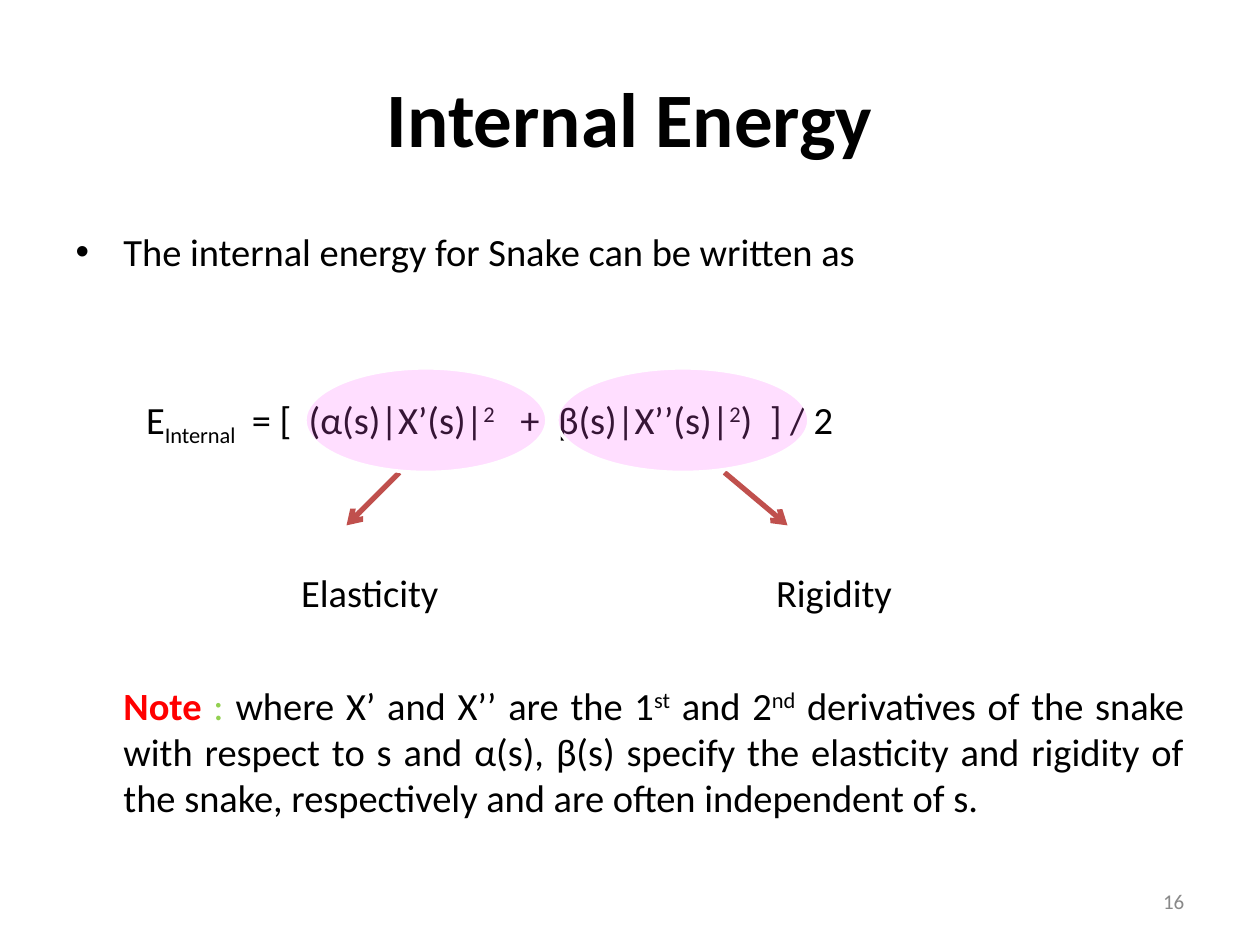
from lxml.etree import SubElement
from pptx import Presentation
from pptx.dml.color import RGBColor
from pptx.enum.shapes import MSO_CONNECTOR, MSO_SHAPE
from pptx.enum.text import MSO_ANCHOR, PP_ALIGN
from pptx.oxml.ns import qn
from pptx.util import Inches, Pt

BLACK, RED, GREEN, GRAY = "000000", "FF0000", "92D050", "898989"
PINK, WHITE, BRICK = "FF66FF", "FFFFFF", "C0504D"
SUB, SUP = -25, 30


def color(code):
    return RGBColor.from_string(code)


def style(para, size, code=BLACK, bold=False, align=PP_ALIGN.LEFT):
    para.alignment = align
    font = para.font
    font.name, font.size, font.bold = "Calibri", Pt(size), bold
    font.color.rgb = color(code)


def text_box(slide, left, top, width, height):
    frame = slide.shapes.add_textbox(
        Inches(left), Inches(top), Inches(width), Inches(height)).text_frame
    frame.word_wrap = True
    frame.margin_left = frame.margin_right = 0
    frame.margin_top = frame.margin_bottom = 0
    return frame


def add_run(para, text, base=0, code=None, bold=None):
    run = para.add_run()
    run.text = text
    if code:
        run.font.color.rgb = color(code)
    if bold is not None:
        run.font.bold = bold
    if base:
        run.font._element.set("baseline", str(base * 1000))


def set_title(slide, left, top, width, height):
    title = slide.shapes.title
    title.left, title.top = Inches(left), Inches(top)
    title.width, title.height = Inches(width), Inches(height)
    title.text_frame.text = "Internal Energy"
    title.text_frame.vertical_anchor = MSO_ANCHOR.MIDDLE
    style(title.text_frame.paragraphs[0], 44, bold=True, align=PP_ALIGN.CENTER)


def add_label(slide, text, left, top, width, height, size=22, code=BLACK,
              align=PP_ALIGN.LEFT):
    frame = text_box(slide, left, top, width, height)
    frame.text = text
    style(frame.paragraphs[0], size, code, align=align)
    return frame


def add_intro(slide, left, top, width, height):
    frame = text_box(slide, left, top, width, height)
    para = frame.paragraphs[0]
    props = para._p.get_or_add_pPr()
    props.set("marL", str(Inches(0.38)))
    props.set("indent", str(-Inches(0.38)))
    SubElement(props, qn("a:buFont")).set("typeface", "Arial")
    SubElement(props, qn("a:buChar")).set("char", "•")
    add_run(para, "The internal energy for Snake can be written as")
    style(para, 22)


def add_formula(slide, left, top, width, height):
    para = text_box(slide, left, top, width, height).paragraphs[0]
    tabs = SubElement(para._p.get_or_add_pPr(), qn("a:tabLst"))
    for stop in (0.84, 1.29, 2.97, 3.27, 4.95):
        SubElement(tabs, qn("a:tab"), pos=str(Inches(stop)), algn="l")
    for text, base in (("E", 0), ("Internal", SUB), ("\t= [\t(α(s)|X’(s)|", 0),
                       ("2", SUP), ("\t+\tβ(s)|X’’(s)|", 0), ("2", SUP),
                       (")\t] / 2", 0)):
        add_run(para, text, base)
    style(para, 22)


def add_term(slide, left, top, width, height, start, end, drop=0.42):
    """Ellipse over one term, with an arrow from its lower edge."""
    low = top + height
    arrow = slide.shapes.add_connector(
        MSO_CONNECTOR.STRAIGHT, Inches(left + start), Inches(low),
        Inches(left + end), Inches(low + drop))
    arrow.line.color.rgb = color(BRICK)
    arrow.line.width = Pt(3)
    SubElement(arrow.line._get_or_add_ln(), qn("a:tailEnd"), type="arrow")
    SubElement(arrow._element.spPr, qn("a:effectLst"))

    oval = slide.shapes.add_shape(
        MSO_SHAPE.OVAL, Inches(left), Inches(top), Inches(width), Inches(height))
    oval.shadow.inherit = False
    oval.fill.solid()
    oval.fill.fore_color.rgb = color(PINK)
    tint = oval._element.spPr.find(qn("a:solidFill"))[0]
    SubElement(tint, qn("a:alpha"), val="21000")
    oval.line.color.rgb = color(WHITE)
    oval.line.width = Pt(2)


def add_note(slide, left, top, width, height):
    para = text_box(slide, left, top, width, height).paragraphs[0]
    add_run(para, "Note ", code=RED, bold=True)
    add_run(para, ": ", code=GREEN)
    for text, base in (
            ("where X’ and X’’ are the 1", 0), ("st", SUP), (" and 2", 0),
            ("nd", SUP),
            (" derivatives of the snake with respect to s and α(s), β(s) "
             "specify the elasticity and rigidity of the snake, respectively "
             "and are often independent of s.", 0)):
        add_run(para, text, base)
    style(para, 22, align=PP_ALIGN.JUSTIFY)


def main():
    deck = Presentation()
    deck.slide_width, deck.slide_height = Inches(10), Inches(7.5)
    slide = deck.slides.add_slide(deck.slide_layouts[5])

    # Title and text
    set_title(slide, 0.5, 0.3, 9, 1.25)
    add_intro(slide, 0.6, 1.81, 8.8, 0.4)
    add_formula(slide, 1.16, 3.14, 6.5, 0.4)
    add_label(slide, "Elasticity", 2.39, 4.52, 2, 0.4)
    add_label(slide, "Rigidity", 6.16, 4.52, 2, 0.4)
    add_note(slide, 0.98, 5.41, 8.42, 1.15)

    # Marked terms
    add_term(slide, 2.42, 2.92, 1.92, 0.83, start=0.75, end=0.33)
    add_term(slide, 4.42, 2.92, 2, 0.83, start=1.33, end=1.83)

    # Slide number
    number = add_label(slide, "16", 7.17, 6.95, 2.23, 0.4, 12, GRAY,
                       PP_ALIGN.RIGHT)
    number.vertical_anchor = MSO_ANCHOR.MIDDLE
    deck.save("out.pptx")


if __name__ == "__main__":
    main()
